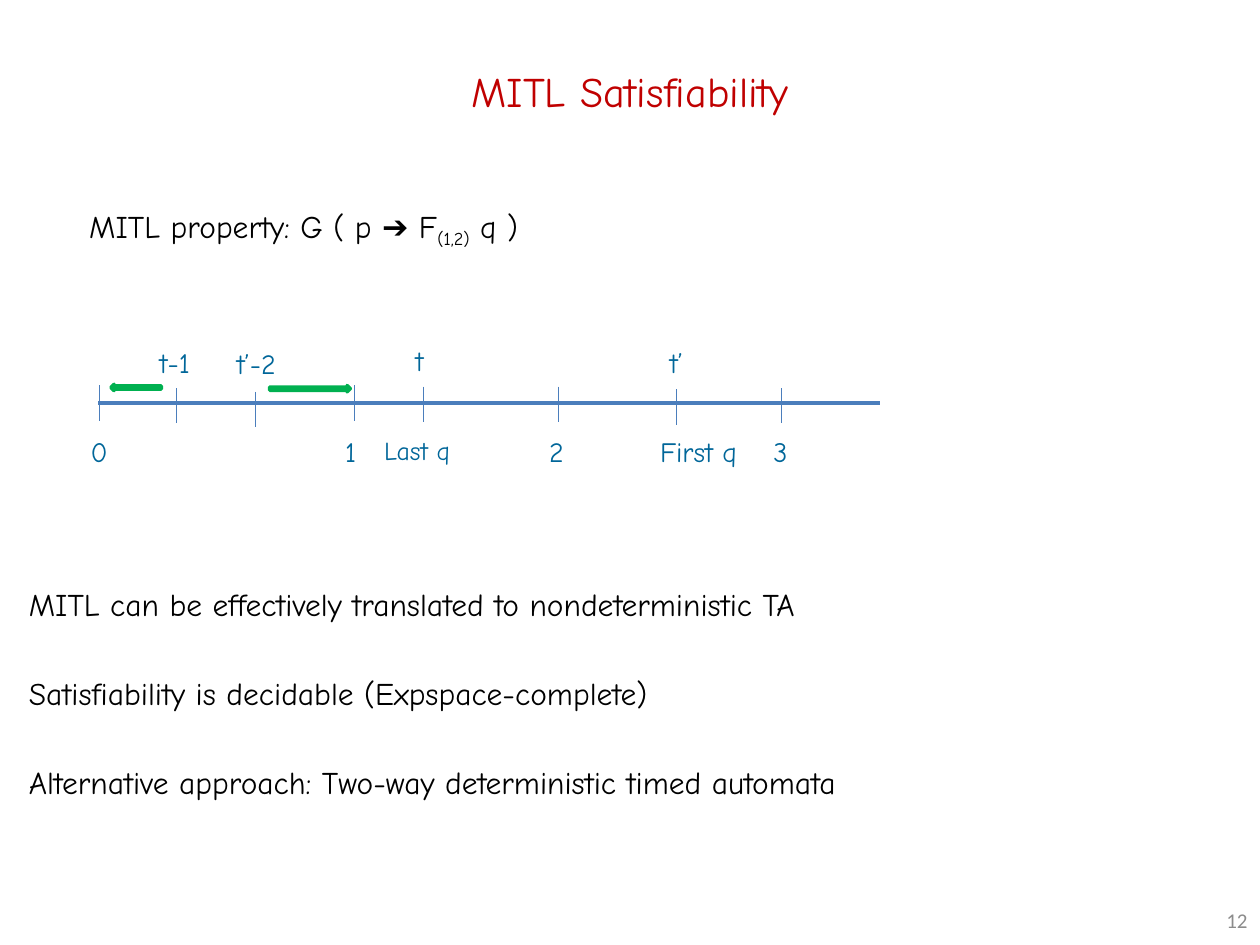
from pptx import Presentation
from pptx.dml.color import RGBColor
from pptx.enum.shapes import MSO_CONNECTOR, MSO_SHAPE
from pptx.enum.text import MSO_ANCHOR, PP_ALIGN
from pptx.oxml.ns import qn
from pptx.util import Pt
from lxml import etree

STRAIGHT = MSO_CONNECTOR.STRAIGHT
LEFT_ARROW, RIGHT_ARROW = MSO_SHAPE.LEFT_ARROW, MSO_SHAPE.RIGHT_ARROW
TOP, MIDDLE = MSO_ANCHOR.TOP, MSO_ANCHOR.MIDDLE
LEFT, CENTER, RIGHT = PP_ALIGN.LEFT, PP_ALIGN.CENTER, PP_ALIGN.RIGHT

COLORS = {
    "title": "C00000",
    "body": "000000",
    "label": "006699",
    "axis": "4B7EBC",
    "interval": "00B050",
    "number": "8C8C8C",
}
FONT = "Comic Neue"
AXIS_Y = 38.4
TICK_HEIGHT = 20.2
LABEL_HEIGHT = 31.7
LOWER_Y = 52.8

TICKS = [
    (0.7, 28.3), (44.6, 29.8), (90, 31.9), (146.2, 28.3),
    (185.8, 29), (262.8, 29), (330.5, 30.5), (390.2, 29.8),
]
LABELS = [
    ("0", -11.5, LOWER_Y, 26.6, 16),
    ("1", 134, LOWER_Y, 26.6, 16),
    ("Last q", 156.2, LOWER_Y, 59, 14.8),
    ("2", 250.6, LOWER_Y, 26.6, 16),
    ("First q", 313.9, LOWER_Y, 82, 16),
    ("3", 378.7, LOWER_Y, 26.6, 16),
    ("t-1", 28, 1.7, 46.8, 16),
    ("t’-2", 72, 2.4, 49.7, 16),
    ("t", 174.2, 1, 23.8, 16),
    ("t’", 319.6, 1.7, 33.8, 16),
]
INTERVALS = [(LEFT_ARROW, 7.2, 27.6, 28.8), (RIGHT_ARROW, 97.9, 28.3, 46.1)]
CLAIMS = [
    "MITL can be effectively translated to nondeterministic TA",
    "Satisfiability is decidable (Expspace-complete)",
    "Alternative approach: Two-way deterministic timed automata",
]


def rgb(name):
    return RGBColor.from_string(COLORS[name])


def add_span(para, text, size, color, font=FONT):
    span = para.add_run()
    span.text = text
    for key, value in {"name": font, "size": Pt(size)}.items():
        setattr(span.font, key, value)
    span.font.color.rgb = rgb(color)
    return span


def add_frame(page, box, anchor=TOP):
    frame = page.shapes.add_textbox(*map(Pt, box)).text_frame
    frame.word_wrap = True
    frame.vertical_anchor = anchor
    return frame


def add_text(page, box, text, size, color, font=FONT, align=LEFT, anchor=TOP, before=0):
    para = add_frame(page, box, anchor).paragraphs[0]
    para.alignment = align
    para.space_before = Pt(before)
    add_span(para, text, size, color, font)
    return para


def add_line(page, x1, y1, x2, y2, width):
    line = page.shapes.add_connector(STRAIGHT, Pt(x1), Pt(y1), Pt(x2), Pt(y2))
    line.line.color.rgb = rgb("axis")
    line.line.width = Pt(width)
    etree.SubElement(line._element.spPr, qn("a:effectLst"))


def add_property(page, box):
    para = add_text(page, box, "MITL property: G ( p ➔ F", 18, "body", before=4.3)
    interval = add_span(para, "(1,2)", 18, "body")
    interval.font._element.set("baseline", "-25000")
    add_span(para, " q )", 18, "body")


def add_timeline(page, box):
    left, top, width, _ = box
    add_line(page, left, top + AXIS_Y, left + width, top + AXIS_Y, 2)
    for x, y in TICKS:
        add_line(page, left + x, top + y, left + x, top + y + TICK_HEIGHT, 0.75)
    for text, x, y, label_width, size in LABELS:
        label_box = (left + x, top + y, label_width, LABEL_HEIGHT)
        add_text(page, label_box, text, size, "label", before=3.8)
    for kind, x, y, length in INTERVALS:
        arrow = page.shapes.add_shape(kind, Pt(left + x), Pt(top + y), Pt(length), Pt(3.6))
        arrow.shadow.inherit = False
        arrow.fill.solid()
        arrow.fill.fore_color.rgb = rgb("interval")
        arrow.line.color.rgb = rgb("interval")
        arrow.line.width = Pt(2)


def add_claims(page, box):
    frame = add_frame(page, box)
    for index, claim in enumerate(CLAIMS):
        para = frame.add_paragraph() if index else frame.paragraphs[0]
        para.space_before = Pt(29.4 if index else 4.3)
        add_span(para, claim, 18, "body")


def main():
    deck = Presentation()
    deck.slide_width, deck.slide_height = Pt(720), Pt(540)
    page = deck.slides.add_slide(deck.slide_layouts[6])
    add_text(page, (33.1, 23.8, 653.8, 56.2), "MITL Satisfiability", 24, "title",
             align=CENTER, anchor=MIDDLE)
    add_property(page, (43.9, 114.5, 324, 46.8))
    add_timeline(page, (56.2, 192, 446.4, 84.5))
    add_claims(page, (9.4, 330.5, 700.6, 159.8))
    add_text(page, (678.2, 511.2, 41.8, 28.8), "12", 12, "number",
             font="Calibri", align=RIGHT, anchor=MIDDLE)
    deck.save("out.pptx")


if __name__ == "__main__":
    main()
